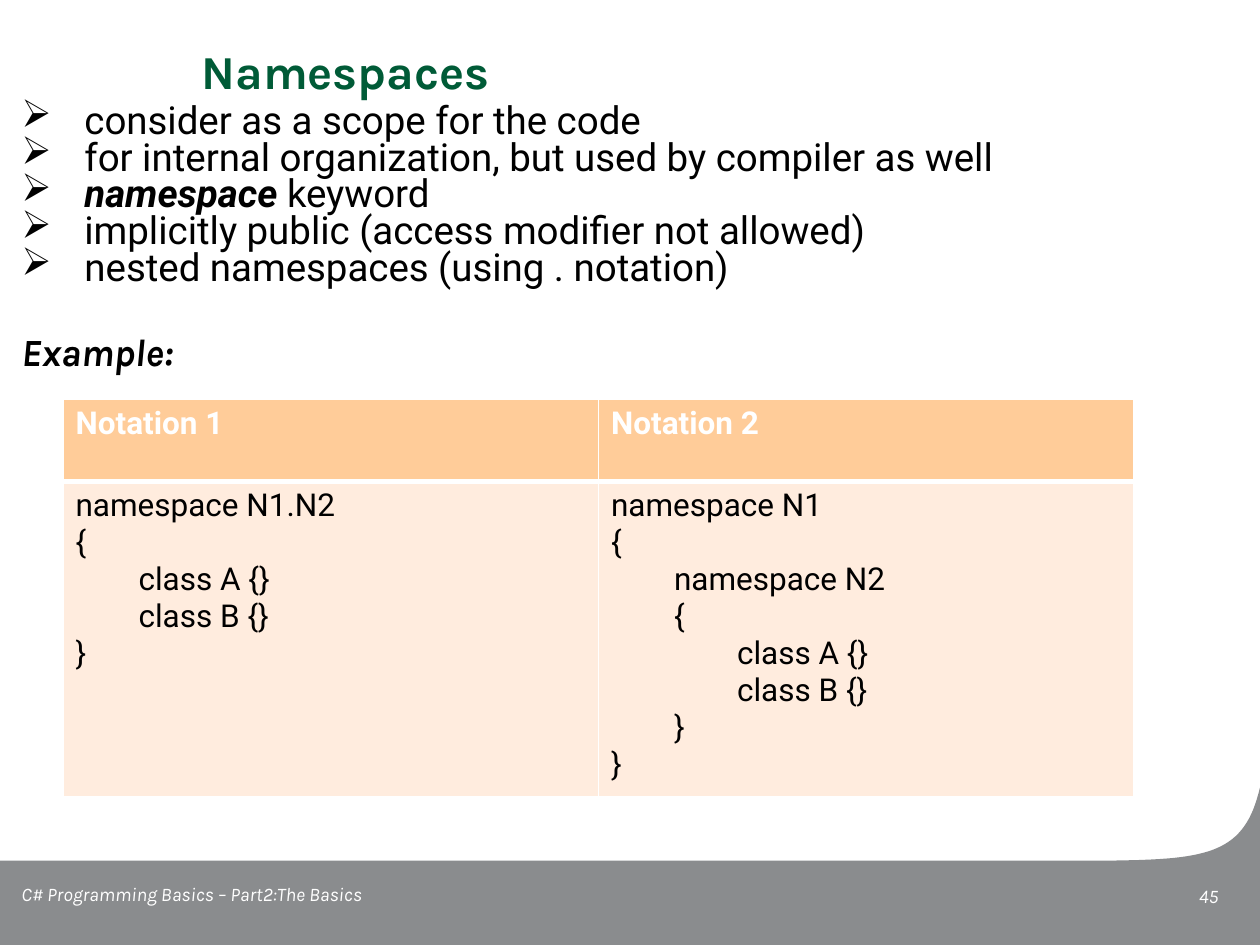
from collections import namedtuple
from dataclasses import dataclass

from lxml.etree import SubElement
from pptx import Presentation
from pptx.dml.color import RGBColor
from pptx.enum.text import PP_ALIGN
from pptx.oxml import parse_xml
from pptx.oxml.ns import nsdecls, qn
from pptx.util import Pt

PX = 9144  # EMU in one px, 100 px to the inch
Box = namedtuple("Box", "left top width height")


@dataclass(frozen=True)
class Theme:
    heading_font: str = "Karla"
    body_font: str = "Roboto"
    green: str = "005B37"
    grey: str = "8A8C8E"
    black: str = "000000"
    white: str = "FFFFFF"
    header_fill: str = "FFCC99"
    code_fill: str = "FFECDE"
    title_size: int = 27
    body_size: int = 22
    table_size: int = 18
    footer_size: int = 11
    line_spacing: float = 0.8


THEME = Theme()
BULLETS = [
    [("consider as a scope for the code", False)],
    [("for internal organization, but used by compiler as well", False)],
    [("namespace", True), (" keyword", False)],
    [("implicitly public (access modifier not allowed)", False)],
    [("nested namespaces (using . notation)", False)],
]
NOTATIONS = {
    "Notation 1": "namespace N1.N2\n{\n\tclass A {}\n\tclass B {}\n}",
    "Notation 2": "namespace N1\n{\n\tnamespace N2\n\t{\n"
                  "\t\tclass A {}\n\t\tclass B {}\n\t}\n}",
}


def emu(box):
    return [length * PX for length in box]


def style(run, font, size, color, bold=False, italic=False):
    run.font.name = font
    run.font.size = Pt(size)
    run.font.color.rgb = RGBColor.from_string(color)
    run.font.bold = bold
    run.font.italic = italic


def add_frame(slide, box):
    """Add a wrapping text box without margins and return its text frame."""
    frame = slide.shapes.add_textbox(*emu(box)).text_frame
    frame.word_wrap = True
    frame.margin_left = frame.margin_top = 0
    frame.margin_right = frame.margin_bottom = 0
    return frame


def add_footer_band(slide, box):
    """Draw the grey band whose top edge sweeps up at the right."""
    bend = [(883, 58), (960, 57), (988, 52), (box.width, 0)]
    steps = 32
    curve = []
    for step in range(steps + 1):
        t = step / steps
        weights = ((1 - t) ** 3, 3 * t * (1 - t) ** 2, 3 * t * t * (1 - t), t ** 3)
        curve.append(tuple(sum(w * point[axis] for w, point in zip(weights, bend)) * PX
                           for axis in (0, 1)))
    corners = [(box.width * PX, box.height * PX), (0, box.height * PX)]
    builder = slide.shapes.build_freeform(0, bend[0][1] * PX)
    builder.add_line_segments(curve + corners, close=True)
    band = builder.convert_to_shape(box.left * PX, box.top * PX)
    band.shadow.inherit = False
    band.fill.solid()
    band.fill.fore_color.rgb = RGBColor.from_string(THEME.grey)
    band.line.fill.background()


def add_title(slide, box):
    title = add_frame(slide, box).paragraphs[0]
    title.text = "Namespaces"
    title.line_spacing = THEME.line_spacing
    style(title.runs[0], THEME.heading_font, THEME.title_size, THEME.green, bold=True)


def add_bullet(paragraph, indent):
    properties = paragraph._p.get_or_add_pPr()
    properties.set("marL", str(indent * PX))
    properties.set("indent", str(-indent * PX))
    color = SubElement(properties, qn("a:buClr"))
    SubElement(color, qn("a:srgbClr"), val=THEME.black)
    SubElement(properties, qn("a:buChar"), char="➢")


def add_body(slide, box):
    frame = add_frame(slide, box)
    for index, parts in enumerate(BULLETS):
        point = frame.add_paragraph() if index else frame.paragraphs[0]
        point.line_spacing = THEME.line_spacing
        add_bullet(point, indent=50)
        for text, is_keyword in parts:
            run = point.add_run()
            run.text = text
            style(run, THEME.body_font, THEME.body_size, THEME.black,
                  bold=is_keyword, italic=is_keyword)
    example = frame.add_paragraph()
    example.text = "Example:"
    example.line_spacing = THEME.line_spacing
    example.space_before = Pt(27)
    style(example.runs[0], THEME.heading_font, THEME.body_size, THEME.black,
          bold=True, italic=True)


def add_footer_text(slide, box, text, alignment):
    footer = add_frame(slide, box).paragraphs[0]
    footer.text = text
    footer.alignment = alignment
    style(footer.runs[0], THEME.heading_font, THEME.footer_size, THEME.white, italic=True)


def set_borders(cell, **widths):
    """Draw white borders; widths in points are keyed by side: L, R, T, B."""
    properties = cell._tc.get_or_add_tcPr()
    for position, (side, width) in enumerate(widths.items()):
        properties.insert(position, parse_xml(
            f'<a:ln{side} {nsdecls("a")} w="{Pt(width)}"><a:solidFill>'
            f'<a:srgbClr val="{THEME.white}"/></a:solidFill></a:ln{side}>'))


def fill_cell(cell, text, fill, color, bold):
    cell.fill.solid()
    cell.fill.fore_color.rgb = RGBColor.from_string(fill)
    cell.text_frame.text = text
    for paragraph in cell.text_frame.paragraphs:
        for run in paragraph.runs:
            style(run, THEME.body_font, THEME.table_size, color, bold=bold)


def add_notation_table(slide, box, header_height):
    table = slide.shapes.add_table(2, len(NOTATIONS), *emu(box)).table
    table.horz_banding = False
    table.rows[0].height = header_height * PX
    table.rows[1].height = (box.height - header_height) * PX
    for column, (heading, code) in enumerate(NOTATIONS.items()):
        header_cell, code_cell = table.cell(0, column), table.cell(1, column)
        fill_cell(header_cell, heading, THEME.header_fill, THEME.white, bold=True)
        fill_cell(code_cell, code, THEME.code_fill, THEME.black, bold=False)
        set_borders(header_cell, L=1, R=1, T=1, B=3)
        set_borders(code_cell, L=1, R=1, T=3, B=1)


def main():
    presentation = Presentation()
    presentation.slide_width = 1000 * PX
    presentation.slide_height = 750 * PX
    slide = presentation.slides.add_slide(presentation.slide_layouts[6])

    add_footer_band(slide, Box(0, 625, 1000, 125))
    add_title(slide, Box(160, 42, 808, 111))
    add_body(slide, Box(17, 83, 958, 550))
    add_footer_text(slide, Box(711, 702, 256, 20), "45", PP_ALIGN.RIGHT)
    add_footer_text(slide, Box(17, 700, 675, 33),
                    "C# Programming Basics – Part2:The Basics", PP_ALIGN.LEFT)
    add_notation_table(slide, Box(50, 317, 850, 308), header_height=65)

    presentation.save("out.pptx")


if __name__ == "__main__":
    main()
